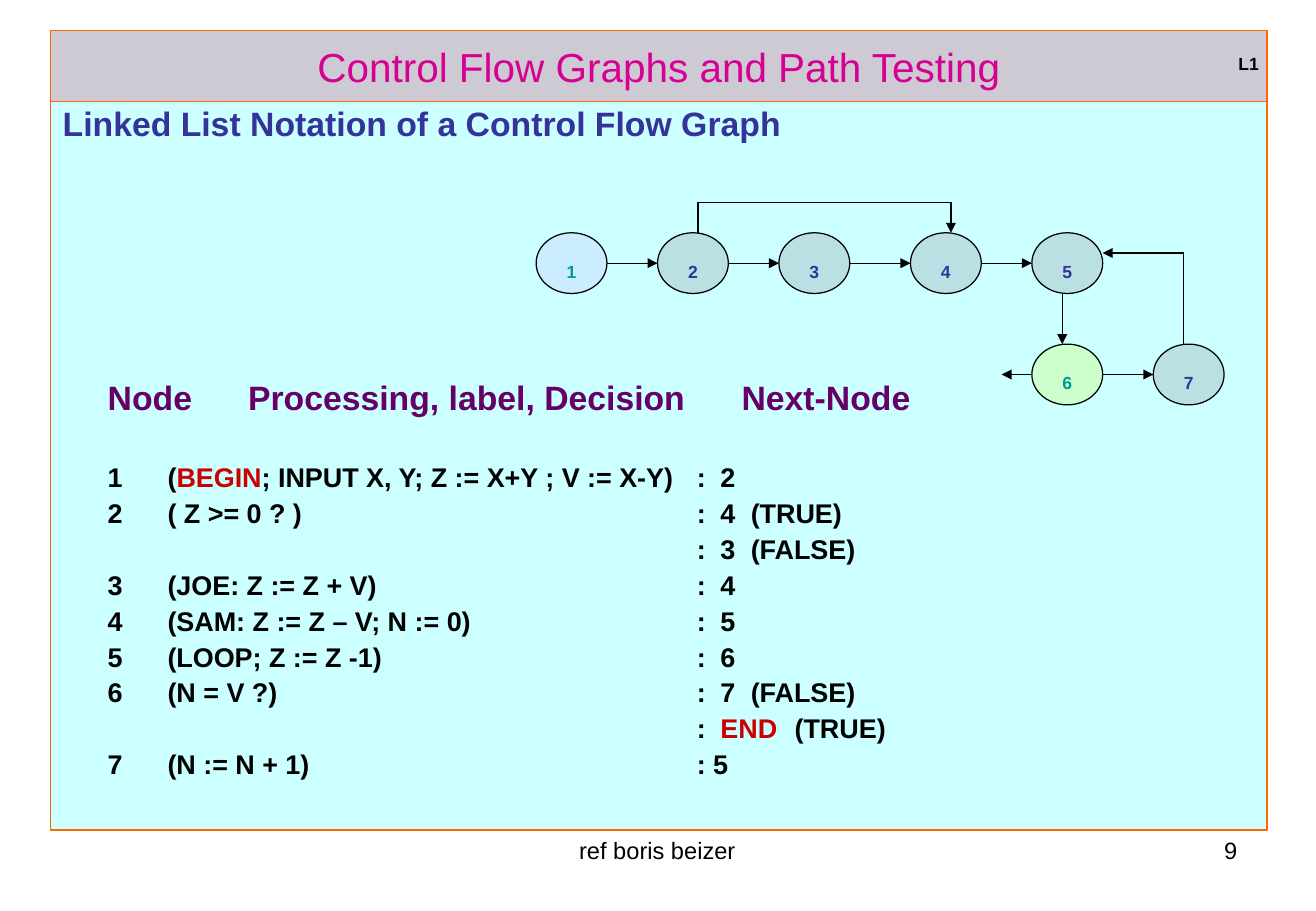
from dataclasses import dataclass

from pptx import Presentation
from pptx.dml.color import RGBColor
from pptx.enum import shapes, text
from pptx.oxml import ns, xmlchemy
from pptx.util import Pt


@dataclass(frozen=True)
class Theme:
    font: str = "Arial"
    black: str = "000000"
    frame: str = "FF6600"
    banner: str = "CECAD4"
    panel: str = "CCFFFF"
    title: str = "D60093"
    heading: str = "333399"
    columns: str = "660066"
    keyword: str = "CC0000"
    terminal: str = "009999"
    node: str = "BBE0E3"
    entry: str = "CCECFF"
    exit: str = "CCFFCC"
    title_size: float = 24
    heading_size: float = 20
    label_size: float = 18
    row_size: float = 16
    footer_size: float = 14
    line_width: float = 0.75


THEME = Theme()
NODE_WIDTH, NODE_HEIGHT = 42, 36
NODES = [
    ("1", 318, 138, THEME.entry, THEME.terminal),
    ("2", 390, 138, THEME.node, THEME.heading),
    ("3", 462, 138, THEME.node, THEME.heading),
    ("4", 540, 138, THEME.node, THEME.heading),
    ("5", 612, 138, THEME.node, THEME.heading),
    ("6", 612, 204, THEME.exit, THEME.terminal),
    ("7", 684, 204, THEME.node, THEME.heading),
]
NEIGHBOURS = ["12", "23", "34", "45", "67"]
ROUTES = [
    [(414, 138), (414, 120), (564, 120), (564, 138)],
    [(630, 174), (630, 204)],
    [(702, 204), (702, 150), (654, 150)],
    [(612, 222), (594, 222)],
]
COLUMN_HEADS = "Node\tProcessing, label, Decision\tNext-Node"
HEAD_TABS = [83.2, 375.9]
ROW_TABS = [35.5, 349.4, 363.4, 381.4, 407.4]
LINKED_LIST = [
    ("1\t(BEGIN; INPUT X, Y; Z := X+Y ; V := X-Y)\t:\t2", "BEGIN"),
    ("2\t( Z >= 0 ? )\t:\t4\t(TRUE)", ""),
    ("\t\t:\t3\t(FALSE)", ""),
    ("3\t(JOE: Z := Z + V)\t:\t4", ""),
    ("4\t(SAM: Z := Z – V; N := 0)\t:\t5", ""),
    ("5\t(LOOP; Z := Z -1)\t:\t6", ""),
    ("6\t(N = V ?)\t:\t7\t(FALSE)", ""),
    ("\t\t:\tEND\t(TRUE)", "END"),
    ("7\t(N := N + 1)\t: 5", ""),
]


def rgb(color):
    return RGBColor.from_string(color)


def place(shape, left, top, width, height):
    shape.left, shape.top = Pt(left), Pt(top)
    shape.width, shape.height = Pt(width), Pt(height)


def paint(shape, fill, line):
    shape.fill.solid()
    shape.fill.fore_color.rgb = rgb(fill)
    shape.line.color.rgb = rgb(line)
    shape.line.width = Pt(THEME.line_width)


def style(run, size, color, bold=False, lowered=False):
    run.font.name = THEME.font
    run.font.size = Pt(size)
    run.font.bold = bold
    run.font.color.rgb = rgb(color)
    if lowered:
        run._r.get_or_add_rPr().set("baseline", "-12000")


def child(parent, tag, **attributes):
    element = xmlchemy.OxmlElement(tag)
    for key, value in attributes.items():
        element.set(key, value)
    parent.append(element)
    return element


def add_label(slide, content, left, top, width, height, align, size, **look):
    label = slide.shapes.add_textbox(Pt(left), Pt(top), Pt(width), Pt(height))
    label.text_frame.word_wrap = align is not None
    paragraph = label.text_frame.paragraphs[0]
    paragraph.text = content
    paragraph.alignment = align
    style(paragraph.runs[0], size, THEME.black, **look)


def fill_title(title):
    place(title, 30, 18, 721.5, 42)
    paint(title, THEME.banner, THEME.frame)
    title.text_frame.text = "Control Flow Graphs and Path Testing"
    title.text_frame.auto_size = text.MSO_AUTO_SIZE.NONE
    title.text_frame.vertical_anchor = text.MSO_ANCHOR.MIDDLE
    paragraph = title.text_frame.paragraphs[0]
    paragraph.alignment = text.PP_ALIGN.CENTER
    style(paragraph.runs[0], THEME.title_size, THEME.title)


def fill_body(body):
    place(body, 30, 60, 721.5, 432)
    paint(body, THEME.panel, THEME.frame)
    body.text_frame.text = "Linked List Notation of a Control Flow Graph"
    body.text_frame.auto_size = text.MSO_AUTO_SIZE.NONE
    body.text_frame.vertical_anchor = text.MSO_ANCHOR.TOP
    heading = body.text_frame.paragraphs[0]
    properties = heading._p.get_or_add_pPr()
    properties.set("marL", "0")
    properties.set("indent", "0")
    child(properties, "a:buNone")
    heading.line_spacing = 0.9
    heading.space_before = Pt(0)
    style(heading.runs[0], THEME.heading_size, THEME.heading, bold=True)


def write_row(paragraph, content, size, color, before, stops, keyword=""):
    tab_list = child(paragraph._p.get_or_add_pPr(), "a:tabLst")
    for stop in stops:
        child(tab_list, "a:tab", pos=str(Pt(stop)), algn="l")
    paragraph.line_spacing = 0.9
    paragraph.space_before = Pt(before)
    pieces = content.partition(keyword) if keyword else [content]
    for piece in pieces:
        run = paragraph.add_run()
        run.text = piece
        style(run, size, THEME.keyword if piece == keyword else color, bold=True)


def add_linked_list(slide):
    listing = slide.shapes.add_textbox(Pt(56.8), Pt(222.5), Pt(600), Pt(250))
    frame = listing.text_frame
    frame.word_wrap = True
    write_row(frame.paragraphs[0], COLUMN_HEADS, THEME.heading_size,
              THEME.columns, 0, HEAD_TABS)
    for index, (row, keyword) in enumerate(LINKED_LIST):
        write_row(frame.add_paragraph(), row, THEME.row_size, THEME.black,
                  4 if index else 27.7, ROW_TABS, keyword)


def add_node(graph, number, left, top, fill, color):
    node = graph.shapes.add_shape(shapes.MSO_SHAPE.OVAL, Pt(left), Pt(top),
                                  Pt(NODE_WIDTH), Pt(NODE_HEIGHT))
    node.shadow.inherit = False
    paint(node, fill, THEME.black)
    node.text_frame.text = number
    node.text_frame.word_wrap = False
    node.text_frame.vertical_anchor = text.MSO_ANCHOR.MIDDLE
    paragraph = node.text_frame.paragraphs[0]
    paragraph.alignment = text.PP_ALIGN.CENTER
    style(paragraph.runs[0], THEME.label_size, color, bold=True, lowered=True)


def add_route(graph, points):
    for start, end in zip(points, points[1:]):
        edge = graph.shapes.add_connector(shapes.MSO_CONNECTOR.STRAIGHT,
                                          *map(Pt, start + end))
        edge.line.color.rgb = rgb(THEME.black)
        edge.line.width = Pt(THEME.line_width)
        child(edge._element.spPr, "a:effectLst")
    child(edge._element.spPr.find(ns.qn("a:ln")), "a:tailEnd", type="triangle")


def add_graph(slide):
    graph = slide.shapes.add_group_shape()
    corners = {number: (left, top) for number, left, top, *_ in NODES}
    for source, target in NEIGHBOURS:
        left, top = corners[source]
        middle = top + NODE_HEIGHT / 2
        add_route(graph, [(left + NODE_WIDTH, middle), (corners[target][0], middle)])
    for route in ROUTES:
        add_route(graph, route)
    for node in NODES:
        add_node(graph, *node)


def main():
    deck = Presentation()
    deck.slide_width, deck.slide_height = Pt(780.48), Pt(540)
    slide = deck.slides.add_slide(deck.slide_layouts[1])
    fill_body(slide.placeholders[1])
    fill_title(slide.shapes.title)
    add_linked_list(slide)
    add_label(slide, "ref boris beizer", 266.4, 491.8, 247, 37.4,
              text.PP_ALIGN.CENTER, THEME.footer_size)
    add_label(slide, "9", 558.7, 491.8, 182.2, 37.4,
              text.PP_ALIGN.RIGHT, THEME.footer_size)
    add_label(slide, "L1", 727.4, 18, 26.6, 29.5, None, THEME.label_size,
              bold=True, lowered=True)
    add_graph(slide)
    deck.save("out.pptx")


if __name__ == "__main__":
    main()
